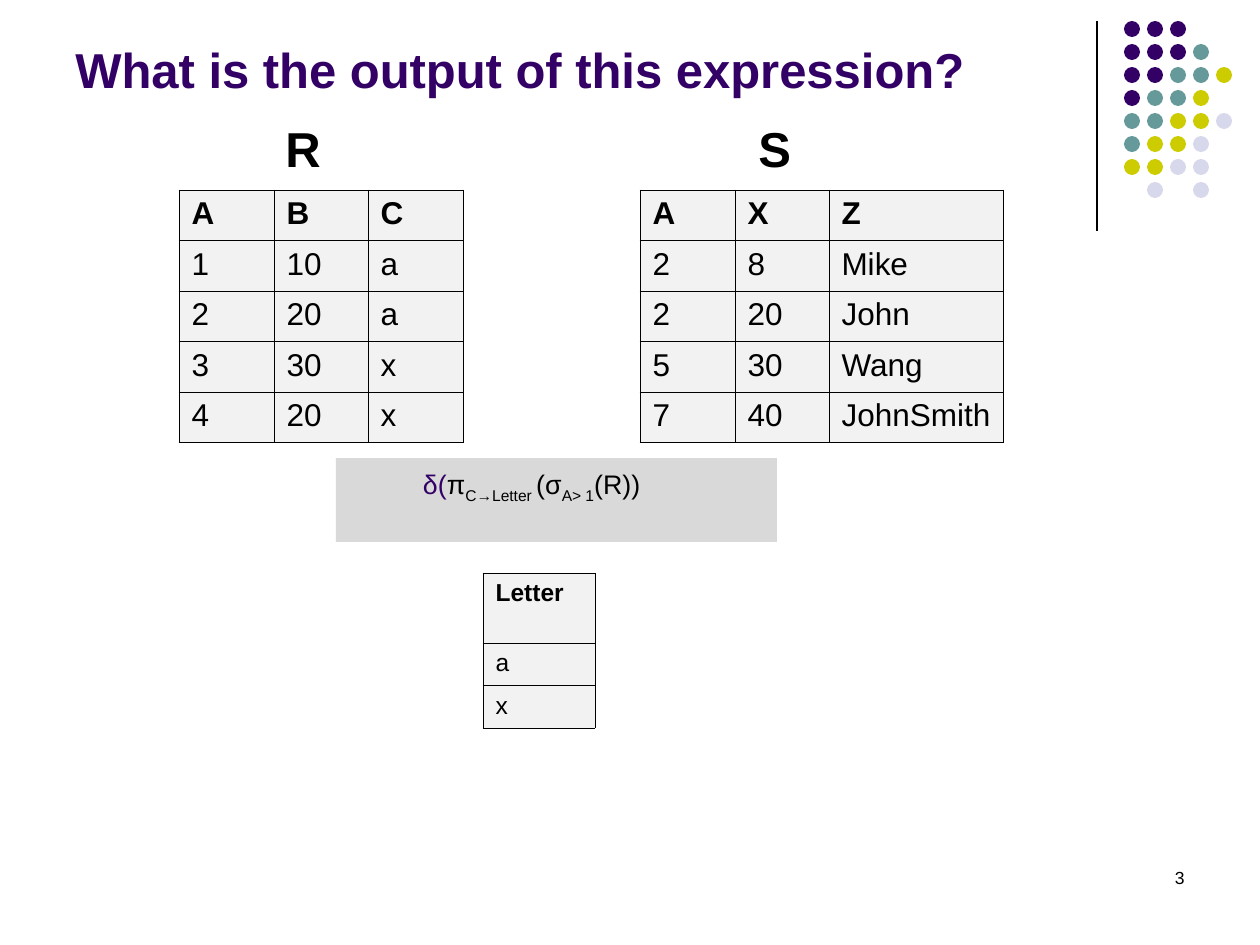
from lxml import etree
from pptx import Presentation
from pptx.dml.color import RGBColor as RGB
from pptx.enum.shapes import MSO_CONNECTOR as CONN, MSO_SHAPE as SHAPE
from pptx.enum.text import MSO_ANCHOR as ANCHOR, PP_ALIGN as ALIGN
from pptx.oxml.ns import qn
from pptx.util import Pt

PX_PER_INCH = 126
COLORS = {
    "text": "000000", "purple": "330066", "teal": "669999", "lime": "CCCC00",
    "pale": "D8D8EC", "cell": "F2F2F2", "panel": "D9D9D9",
}
DOT_COLORS = {"P": "purple", "T": "teal", "L": "lime", "G": "pale"}
DOT_ROWS = ["PPP", "PPPT", "PPTTL", "PTTL", "TTLLG", "TLLG", "LLGG", " G G"]


def px(n):
    return round(n * 914400 / PX_PER_INCH)


def rgb(name):
    return RGB.from_string(COLORS[name])


def style(font, size, color="text", bold=False):
    font.name, font.size, font.bold = "Arial", Pt(size), bold
    font.color.rgb = rgb(color)


def add_label(s, box, text, size, color="text", bold=False,
              align=ALIGN.LEFT, anchor=ANCHOR.TOP, wrap=True):
    tf = s.shapes.add_textbox(*map(px, box)).text_frame
    tf.word_wrap, tf.vertical_anchor = wrap, anchor
    p = tf.paragraphs[0]
    p.text, p.alignment = text, align
    style(p.runs[0].font, size, color, bold)


def add_ornament(s, box):
    """Rule on the left edge, with a grid of dots beside it."""
    x, y, w, h = box
    line = s.shapes.add_connector(CONN.STRAIGHT, px(x), px(y), px(x), px(y + h))
    line.line.color.rgb, line.line.width = rgb("text"), Pt(0.75)
    etree.SubElement(line._element.spPr, qn("a:effectLst"))

    size, step = 16, 23
    left = x + w - 4 * step - size
    for i, row in enumerate(DOT_ROWS):
        for j, key in enumerate(row):
            if key == " ":
                continue
            dot = s.shapes.add_shape(SHAPE.OVAL, px(left + j * step),
                                     px(y + i * step), px(size), px(size))
            dot.shadow.inherit = False
            dot.fill.solid()
            dot.fill.fore_color.rgb = rgb(DOT_COLORS[key])
            dot.line.fill.background()


def add_borders(cell, width=0.45):
    tcPr = cell._tc.get_or_add_tcPr()
    for i, side in enumerate(("a:lnL", "a:lnR", "a:lnT", "a:lnB")):
        ln = etree.Element(qn(side), w=str(Pt(width)))
        fill = etree.SubElement(ln, qn("a:solidFill"))
        etree.SubElement(fill, qn("a:srgbClr"), val=COLORS["text"])
        tcPr.insert(i, ln)


def add_relation(s, box, rows, widths, head, size):
    """Table with a bold header; the other rows share the remaining height."""
    frame = s.shapes.add_table(len(rows), len(widths), *map(px, box))
    tbl = frame.table
    tbl.first_row = tbl.horz_banding = False
    for col, width in zip(tbl.columns, widths):
        col.width = px(width)
    for i, values in enumerate(rows):
        tbl.rows[i].height = px(head if i == 0 else (box[3] - head) / (len(rows) - 1))
        for j, value in enumerate(values):
            cell = tbl.cell(i, j)
            cell.text = value
            cell.margin_right = px(6)
            cell.fill.solid()
            cell.fill.fore_color.rgb = rgb("cell")
            add_borders(cell)
            style(cell.text_frame.paragraphs[0].runs[0].font, size, bold=i == 0)


def add_formula(s, box):
    """Grey panel with the relational algebra expression."""
    sp = s.shapes.add_shape(SHAPE.RECTANGLE, *map(px, box))
    sp.shadow.inherit = False
    sp.fill.solid()
    sp.fill.fore_color.rgb = rgb("panel")
    sp.line.fill.background()
    tf = sp.text_frame
    tf.vertical_anchor = ANCHOR.TOP
    tf.margin_left, tf.margin_top = px(87), px(10)
    p = tf.paragraphs[0]
    p.alignment = ALIGN.LEFT
    parts = [("δ(", "purple", False), ("π", "text", False),
             ("C→Letter ", "text", True), ("(σ", "text", False),
             ("A> 1", "text", True), ("(R))", "text", False)]
    for text, color, subscript in parts:
        r = p.add_run()
        r.text = text
        style(r.font, 15.3, color)
        if subscript:
            r.font._element.set("baseline", "-25000")


def build_slide(prs):
    s = prs.slides.add_slide(prs.slide_layouts[6])
    add_ornament(s, (1097, 21, 135, 210))

    # Title and page number
    add_label(s, (63, 16, 1040, 89), "What is the output of this expression?",
              28, "purple", True, anchor=ANCHOR.BOTTOM)
    add_label(s, (903, 861, 294, 63), "3", 10, align=ALIGN.RIGHT)

    # Input relations
    add_label(s, (273, 112, 60, 72), "R", 28, bold=True, wrap=False)
    add_relation(s, (179, 190, 284, 252),
                 [("A", "B", "C"), ("1", "10", "a"), ("2", "20", "a"),
                  ("3", "30", "x"), ("4", "20", "x")], (95, 94, 95), 50, 18)
    add_label(s, (746, 112, 58, 72), "S", 28, bold=True, wrap=False)
    add_relation(s, (640, 190, 363, 252),
                 [("A", "X", "Z"), ("2", "8", "Mike"), ("2", "20", "John"),
                  ("5", "30", "Wang"), ("7", "40", "JohnSmith")],
                 (95, 94, 174), 50, 18)

    # Expression and its result
    add_formula(s, (336, 458, 441, 84))
    add_relation(s, (483, 573, 112, 155), [("Letter",), ("a",), ("x",)],
                 (112,), 70, 14)


def main():
    prs = Presentation()
    prs.slide_width, prs.slide_height = px(1260), px(945)
    build_slide(prs)
    prs.save("out.pptx")


if __name__ == "__main__":
    main()
